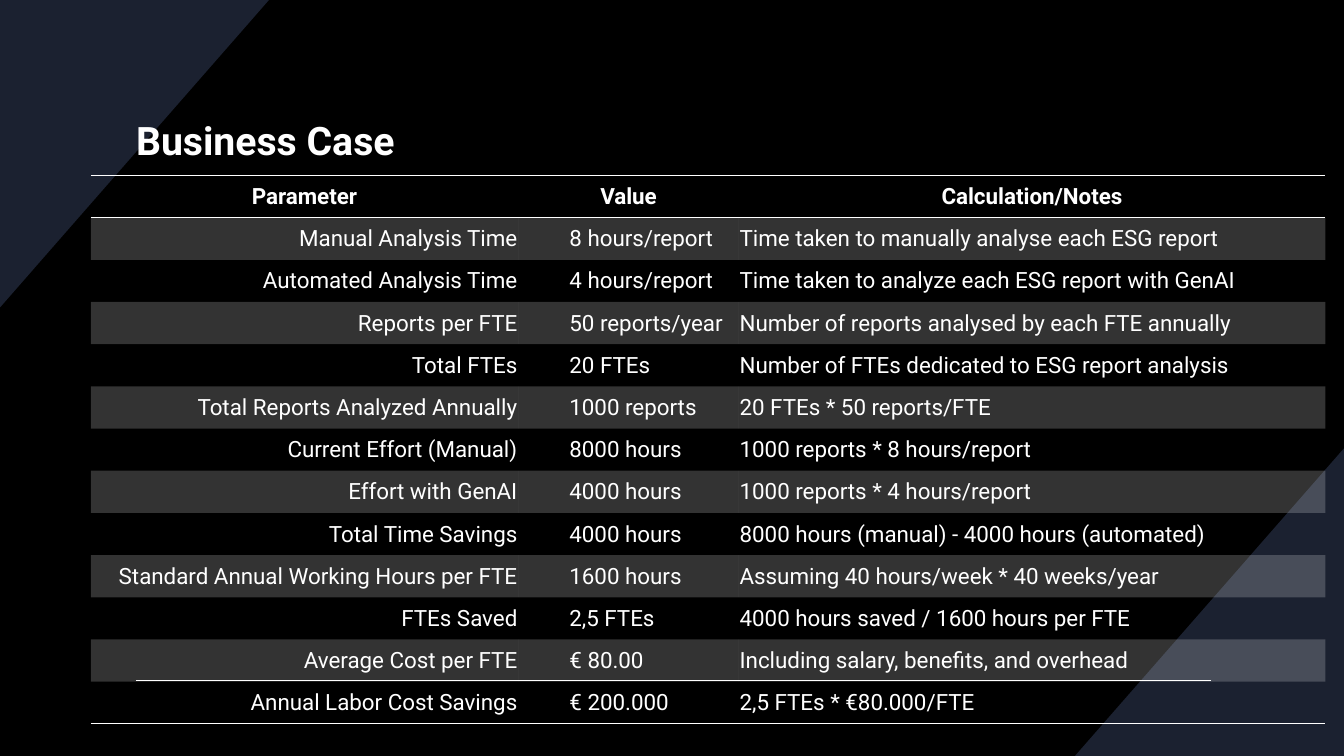
from lxml.etree import SubElement
from pptx import Presentation
from pptx.dml.color import RGBColor
from pptx.enum.shapes import MSO_CONNECTOR
from pptx.enum.text import MSO_ANCHOR, PP_ALIGN
from pptx.oxml import parse_xml
from pptx.oxml.ns import nsdecls, qn
from pptx.util import Cm, Pt

COLORS = {"background": "000000", "corner": "1B2130", "white": "FFFFFF"}
FONT = "Roboto"
NO_TABLE_STYLE = "{2D5ABB26-0587-4C30-8999-92F81FD0307C}"
WIDTH, HEIGHT = 33.87, 19.05
CORNER_WIDTH, CORNER_HEIGHT = 6.78, 7.75

HEADER = ("Parameter", "Value", "Calculation/Notes")
ROWS = [
    ("Manual Analysis Time", "8 hours/report", "Time taken to manually analyse each ESG report"),
    ("Automated Analysis Time", "4 hours/report", "Time taken to analyze each ESG report with GenAI"),
    ("Reports per FTE", "50 reports/year", "Number of reports analysed by each FTE annually"),
    ("Total FTEs", "20 FTEs", "Number of FTEs dedicated to ESG report analysis"),
    ("Total Reports Analyzed Annually", "1000 reports", "20 FTEs * 50 reports/FTE"),
    ("Current Effort (Manual)", "8000 hours", "1000 reports * 8 hours/report"),
    ("Effort with GenAI", "4000 hours", "1000 reports * 4 hours/report"),
    ("Total Time Savings", "4000 hours", "8000 hours (manual) - 4000 hours (automated)"),
    ("Standard Annual Working Hours per FTE", "1600 hours", "Assuming 40 hours/week * 40 weeks/year"),
    ("FTEs Saved", "2,5 FTEs", "4000 hours saved / 1600 hours per FTE"),
    ("Average Cost per FTE", "€ 80.00", "Including salary, benefits, and overhead"),
    ("Annual Labor Cost Savings", "€ 200.000", "2,5 FTEs * €80.000/FTE"),
]
COLUMN_WIDTHS = (10.77, 5.56, 14.78)
ALIGNMENTS = (PP_ALIGN.RIGHT, PP_ALIGN.LEFT, PP_ALIGN.LEFT)


def color(name):
    return RGBColor.from_string(COLORS[name])


def set_font(para, size, bold):
    para.font.name = FONT
    para.font.size = Pt(size)
    para.font.bold = bold
    para.font.color.rgb = color("white")


deck = Presentation()
deck.slide_width, deck.slide_height = Cm(WIDTH), Cm(HEIGHT)
page = deck.slides.add_slide(deck.slide_layouts[6])
page.background.fill.solid()
page.background.fill.fore_color.rgb = color("background")

# Corner triangles
for x, y, x_step, y_step in (
    (WIDTH, HEIGHT, -CORNER_WIDTH, -CORNER_HEIGHT),
    (0, 0, CORNER_WIDTH, CORNER_HEIGHT),
):
    builder = page.shapes.build_freeform(Cm(x), Cm(y + y_step))
    builder.add_line_segments([(Cm(x), Cm(y)), (Cm(x + x_step), Cm(y))], close=True)
    corner = builder.convert_to_shape()
    corner.shadow.inherit = False
    corner.fill.solid()
    corner.fill.fore_color.rgb = color("corner")
    corner.line.fill.background()

# Footer rule
rule = page.shapes.add_connector(MSO_CONNECTOR.STRAIGHT, Cm(3.43), Cm(17.15), Cm(30.53), Cm(17.15))
rule.line.color.rgb = color("white")
rule.line.width = Pt(1)
SubElement(rule._element.spPr, qn("a:effectLst"))

# Title
title = page.shapes.add_textbox(Cm(3.18), Cm(1.63), Cm(27.51), Cm(3.78))
title.text_frame.word_wrap = True
title.text_frame.vertical_anchor = MSO_ANCHOR.MIDDLE
title_para = title.text_frame.paragraphs[0]
title_para.text = "Business Case"
set_font(title_para, 28, True)

# Table
table = page.shapes.add_table(
    len(ROWS) + 1, len(HEADER), Cm(2.29), Cm(4.42), Cm(sum(COLUMN_WIDTHS)), Cm(13.82)
).table
table.first_row = table.horz_banding = False
table._tbl.tblPr.find(qn("a:tableStyleId")).text = NO_TABLE_STYLE
for column, width in zip(table.columns, COLUMN_WIDTHS):
    column.width = Cm(width)

for row_index, texts in enumerate([HEADER, *ROWS]):
    is_header = row_index == 0
    for column_index, text in enumerate(texts):
        cell = table.cell(row_index, column_index)
        cell.vertical_anchor = MSO_ANCHOR.MIDDLE
        cell.margin_left = cell.margin_right = cell.margin_top = Cm(0.02)
        cell.margin_bottom = 0
        para = cell.text_frame.paragraphs[0]
        para.text = text
        para.alignment = PP_ALIGN.CENTER if is_header else ALIGNMENTS[column_index]
        if column_index == 1 and not is_header:
            para.level = 1
            para._p.get_or_add_pPr().set("marL", str(Cm(1.27)))
        set_font(para, 16, is_header)

        cell_props = cell._tc.get_or_add_tcPr()
        if row_index % 2:
            cell.fill.solid()
            cell.fill.fore_color.rgb = color("white")
            SubElement(cell_props.find(".//" + qn("a:srgbClr")), qn("a:alpha"), val="20000")
        else:
            cell.fill.background()

        edges = ["lnT", "lnB"] if is_header else ["lnB"] if row_index == len(ROWS) else []
        for position, edge in enumerate(edges):
            cell_props.insert(position, parse_xml(
                f'<a:{edge} {nsdecls("a")} w="{Pt(1)}"><a:solidFill>'
                f'<a:srgbClr val="{COLORS["white"]}"/></a:solidFill></a:{edge}>'
            ))

deck.save("out.pptx")
